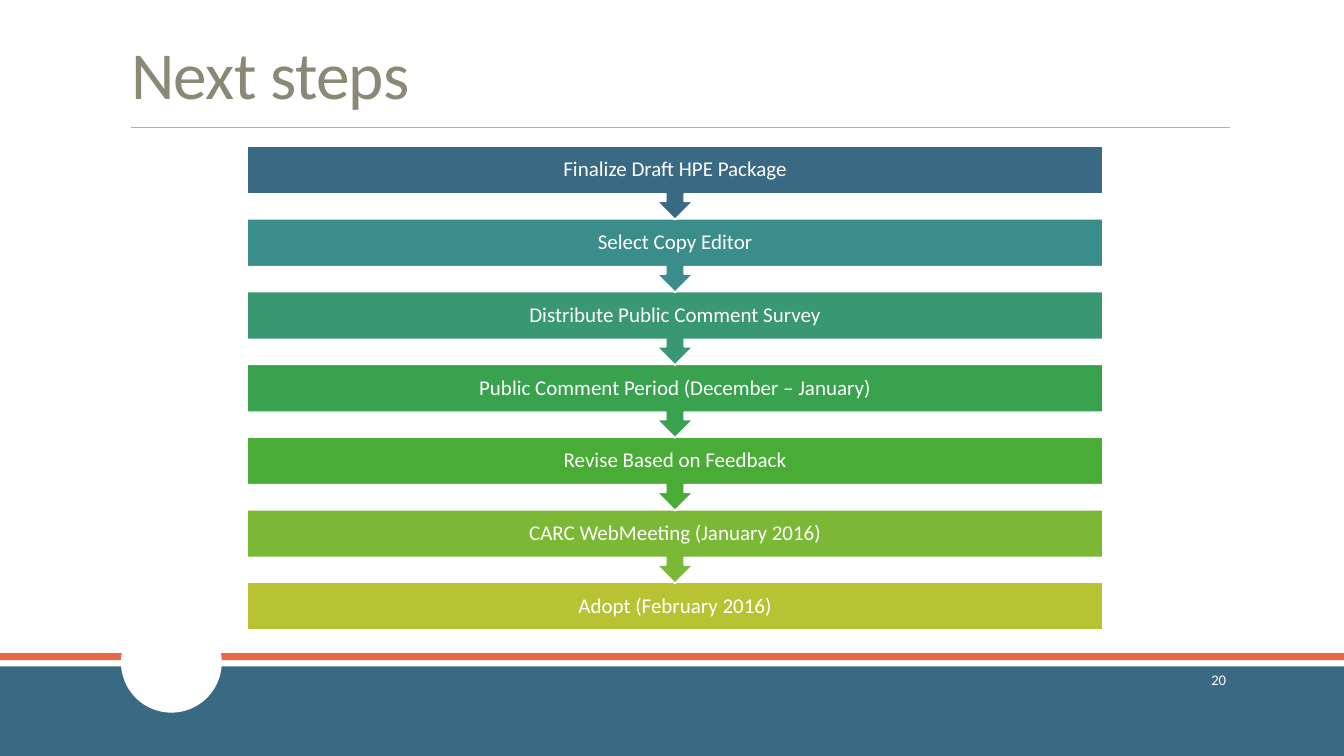
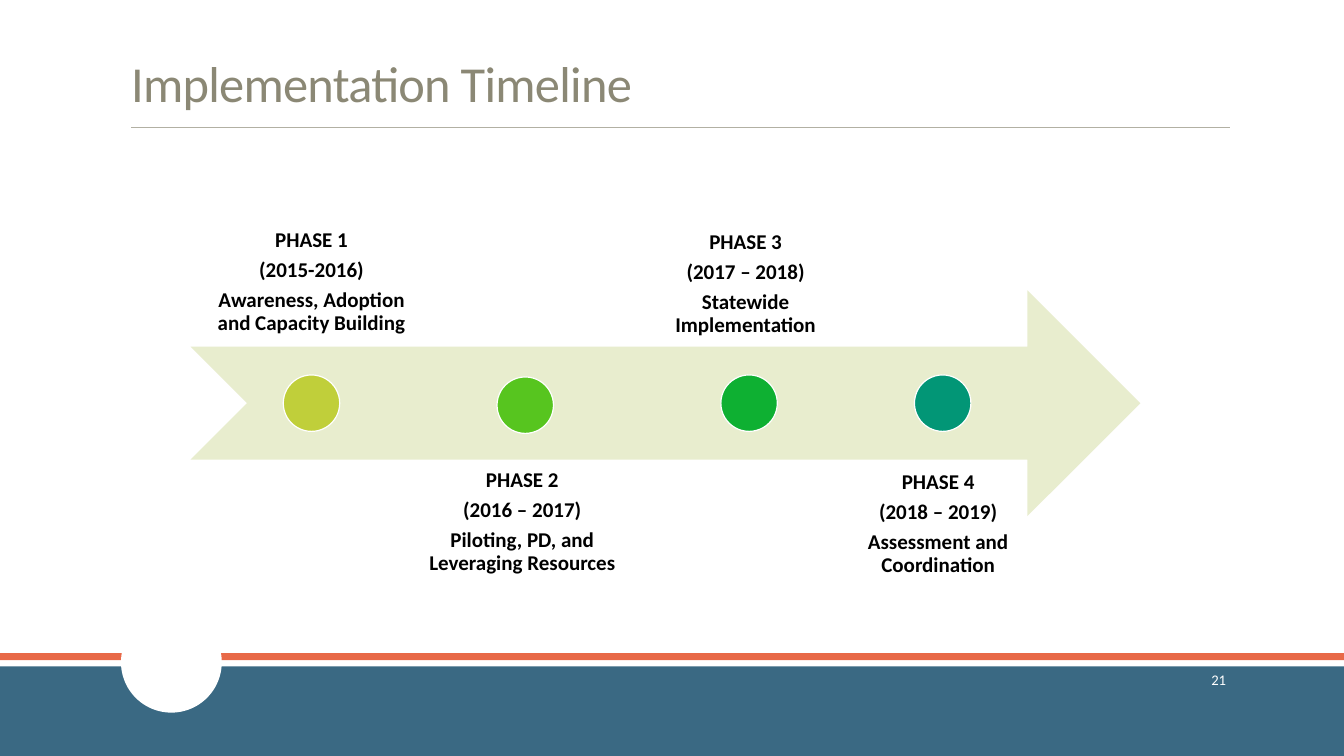
from lxml import etree
from pptx import Presentation
from pptx.dml.color import RGBColor
from pptx.enum.shapes import MSO_CONNECTOR, MSO_SHAPE
from pptx.enum.text import MSO_ANCHOR as ANCHOR, MSO_AUTO_SIZE as AUTO_SIZE, PP_ALIGN as ALIGN
from pptx.oxml.ns import qn
from pptx.util import Inches, Pt

FONT = "Calibri"
WHITE = RGBColor(0xFF, 0xFF, 0xFF)
BLACK = RGBColor(0x00, 0x00, 0x00)
BLUE = RGBColor(0x3A, 0x69, 0x83)
CORAL = RGBColor(0xE8, 0x69, 0x48)
RULE_GREY = RGBColor(0xB2, 0xB0, 0xA3)
TITLE_GREY = RGBColor(0x8B, 0x88, 0x75)
PALE_GREEN = RGBColor(0xE8, 0xED, 0xCE)

SLIDE_W, SLIDE_H = 13.33, 7.5

STEPS = [
    ("Finalize Draft HPE Package", BLUE),
    ("Select Copy Editor", RGBColor(0x3A, 0x8D, 0x8B)),
    ("Distribute Public Comment Survey", RGBColor(0x39, 0x97, 0x71)),
    ("Public Comment Period (December – January)", RGBColor(0x38, 0xA2, 0x4F)),
    ("Revise Based on Feedback", RGBColor(0x49, 0xAC, 0x37)),
    ("CARC WebMeeting (January 2016)", RGBColor(0x7B, 0xB8, 0x35)),
    ("Adopt (February 2016)", RGBColor(0xB7, 0xC3, 0x33)),
]

# Lines, label (left, top, width) and dot (left, top) from the arrow's corner, dot colour
PHASES = [
    (("PHASE 1", "(2015-2016)", "Awareness, Adoption and Capacity Building"),
     (0, -1.68, 2.4), (0.92, 0.84), RGBColor(0xC0, 0xCF, 0x3A)),
    (("PHASE 2", "(2016 – 2017)", "Piloting, PD, and Leveraging Resources"),
     (2.18, 1.66, 2.22), (3.04, 0.86), RGBColor(0x57, 0xC5, 0x1F)),
    (("PHASE 3", "(2017 – 2018)", "Statewide Implementation"),
     (4.61, -1.66, 1.79), (5.26, 0.84), RGBColor(0x0E, 0xB0, 0x32)),
    (("PHASE 4", "(2018 – 2019)", "Assessment and Coordination"),
     (6.52, 1.68, 1.79), (7.18, 0.84), RGBColor(0x02, 0x96, 0x76)),
]


def add_filled(slide, kind, box, fill, outline=None):
    """Add a flat preset shape; outline is a white line width in points."""
    shape = slide.shapes.add_shape(kind, *map(Inches, box))
    shape.shadow.inherit = False
    shape.fill.solid()
    shape.fill.fore_color.rgb = fill
    if outline:
        shape.line.color.rgb = WHITE
        shape.line.width = Pt(outline)
    else:
        shape.line.fill.background()
    return shape


def write(frame, lines, size, color, align, anchor, bold=False, spacing=1.0, after=0):
    """Fill a text frame with uniformly formatted paragraphs."""
    frame.word_wrap = True
    frame.auto_size = AUTO_SIZE.NONE
    frame.vertical_anchor = anchor
    frame.text = "\n".join(lines)
    for paragraph in frame.paragraphs:
        paragraph.alignment = align
        paragraph.line_spacing = spacing
        paragraph.space_before = Pt(0)
        paragraph.space_after = Pt(after)
        font = paragraph.font
        font.name, font.size, font.bold = FONT, Pt(size), bold
        font.color.rgb = color


def set_insets(frame, side, top):
    frame.margin_left = frame.margin_right = Inches(side)
    frame.margin_top = frame.margin_bottom = Inches(top)


def decorate_layout(layout, slide):
    """Draw the rule, bands and notch on a slide and move them to its layout."""
    for placeholder in list(layout.placeholders):
        if placeholder.placeholder_format.idx:
            placeholder.element.getparent().remove(placeholder.element)

    band = add_filled(slide, MSO_SHAPE.RECTANGLE, (0, 6.61, SLIDE_W, 0.89), BLUE)
    stripe = add_filled(slide, MSO_SHAPE.RECTANGLE, (0, 6.48, SLIDE_W, 0.07), CORAL)
    rule = slide.shapes.add_connector(
        MSO_CONNECTOR.STRAIGHT, Inches(1.3), Inches(1.26), Inches(12.2), Inches(1.26))
    rule.line.color.rgb = RULE_GREY
    rule.line.width = Pt(0.5)
    etree.SubElement(rule.element.spPr, qn("a:effectLst"))
    notch = add_filled(slide, MSO_SHAPE.OVAL, (1.2, 6.07, 1, 1), WHITE)

    # Behind the title placeholder, after the two group property elements
    for position, part in enumerate((band, stripe, rule, notch), start=2):
        layout.shapes.element.insert(position, part.element)


def add_heading(slide, text, size, number):
    """Place the title and the page number."""
    title = slide.shapes.title
    title.left, title.top, title.width, title.height = map(Inches, (1.2, 0.31, 11, 0.86))
    write(title.text_frame, [text], size, TITLE_GREY, ALIGN.LEFT, ANCHOR.BOTTOM, spacing=0.85)
    title.text_frame.paragraphs[0].runs[0].font._element.set("spc", "-50")

    page = slide.shapes.add_textbox(*map(Inches, (10.83, 6.54, 1.43, 0.4)))
    write(page.text_frame, [str(number)], 10.5, WHITE, ALIGN.RIGHT, ANCHOR.MIDDLE)


def add_step_chain(slide, box):
    """Stack the steps from bottom to top, each pointing at the next."""
    left, top, width, height = box
    bar_h, callout_h = 0.47, 0.73
    pitch = (height - bar_h) / (len(STEPS) - 1)
    last = len(STEPS) - 1
    for index, (label, color) in reversed(list(enumerate(STEPS))):
        kind, step_h = ((MSO_SHAPE.RECTANGLE, bar_h) if index == last
                        else (MSO_SHAPE.DOWN_ARROW_CALLOUT, callout_h))
        step = add_filled(slide, kind, (left, top + index * pitch, width, step_h), color, 1.25)
        set_insets(step.text_frame, 0.12, 0.05)
        write(step.text_frame, [label], 15, WHITE, ALIGN.CENTER, ANCHOR.MIDDLE, spacing=0.9)


def add_timeline(slide, box):
    """Draw the arrow with a dot and a label for each phase."""
    left, top, _, height = box
    dot_size = 0.56
    add_filled(slide, MSO_SHAPE.NOTCHED_RIGHT_ARROW, box, PALE_GREEN)
    for lines, (label_x, label_y, label_w), (dot_x, dot_y), color in PHASES:
        label = slide.shapes.add_textbox(
            *map(Inches, (left + label_x, top + label_y, label_w, height)))
        set_insets(label.text_frame, 0.12, 0.12)
        anchor = ANCHOR.BOTTOM if label_y < 0 else ANCHOR.TOP
        write(label.text_frame, lines, 15, BLACK, ALIGN.CENTER, anchor,
              bold=True, spacing=0.9, after=5.25)
        add_filled(slide, MSO_SHAPE.OVAL,
                   (left + dot_x, top + dot_y, dot_size, dot_size), color, 0.85)


def main():
    deck = Presentation()
    deck.slide_width, deck.slide_height = Inches(SLIDE_W), Inches(SLIDE_H)
    title_only = deck.slide_layouts[5]

    next_steps = deck.slides.add_slide(title_only)
    decorate_layout(title_only, next_steps)
    add_heading(next_steps, "Next steps", 48, 20)
    add_step_chain(next_steps, (2.45, 1.45, 8.49, 4.8))

    timeline = deck.slides.add_slide(title_only)
    add_heading(timeline, "Implementation Timeline", 36, 21)
    add_timeline(timeline, (1.89, 2.88, 9.42, 2.24))

    deck.save("out.pptx")


if __name__ == "__main__":
    main()
